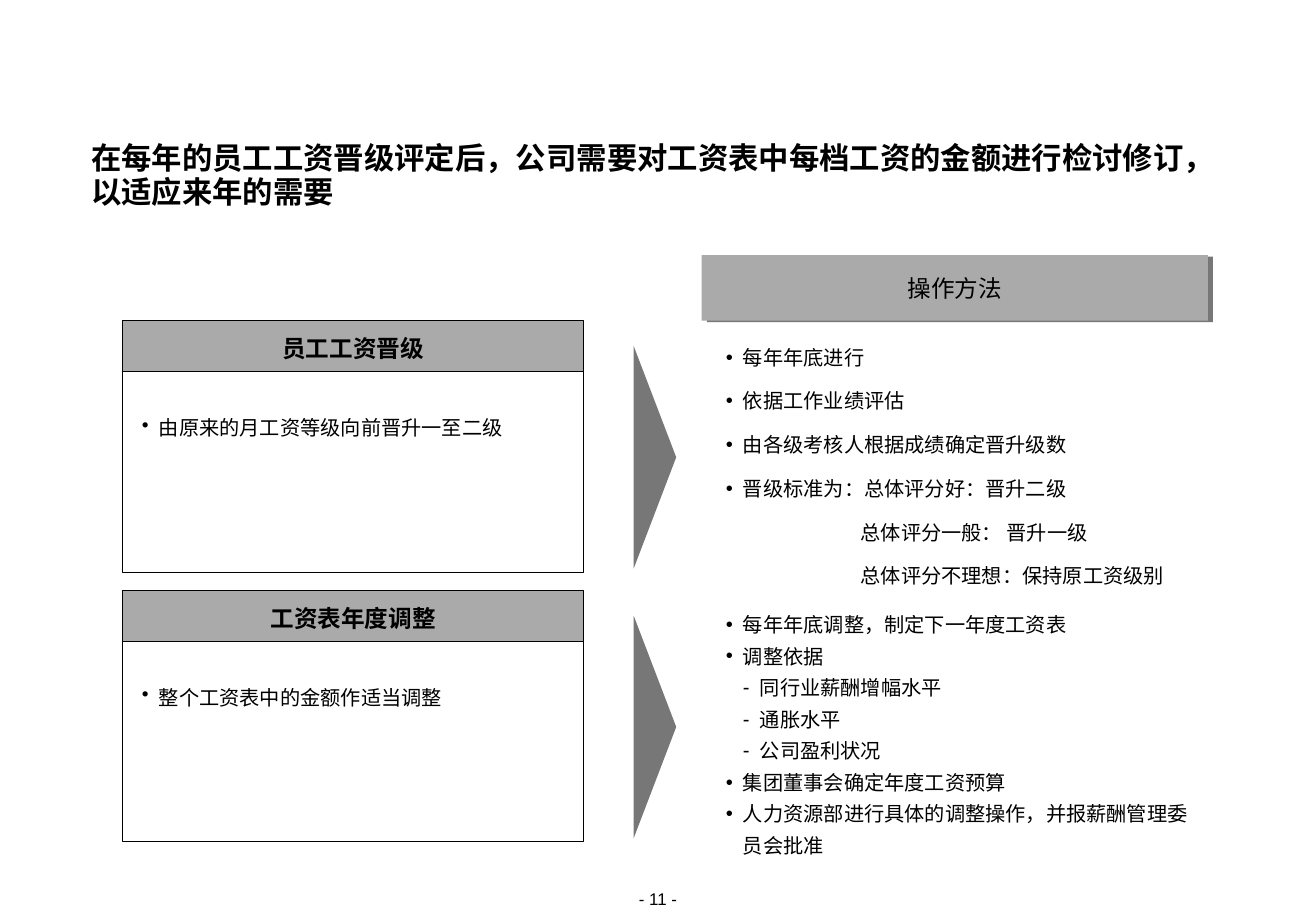
import pptx
import pptx.util
import pptx.dml.color
import pptx.enum.shapes
import pptx.enum.text
import lxml.etree
import pptx.oxml.ns

Inches = pptx.util.Inches
Pt = pptx.util.Pt
SHAPE = pptx.enum.shapes.MSO_SHAPE
ALIGN = pptx.enum.text.PP_ALIGN
ANCHOR = pptx.enum.text.MSO_ANCHOR
qn = pptx.oxml.ns.qn
LEVELS = {"•": (0.14, -0.14), "-": (0.28, -0.14), "": (1.11, 0)}


def rgb(value):
    return pptx.dml.color.RGBColor.from_string(value)


def write(frame, lines, size=12, bold=False, align=ALIGN.LEFT, anchor=ANCHOR.MIDDLE,
          spacing=1.0, insets=(0, 0, 0, 0)):
    frame.word_wrap = True
    frame.auto_size = pptx.enum.text.MSO_AUTO_SIZE.NONE
    frame.vertical_anchor = anchor
    frame.margin_left, frame.margin_top, frame.margin_right, frame.margin_bottom = map(Inches, insets)
    for number, (bullet, text) in enumerate(lines):
        paragraph = frame.add_paragraph() if number else frame.paragraphs[0]
        paragraph.text = text
        if bullet is not None:
            margin, indent = LEVELS[bullet]
            properties = paragraph._p.get_or_add_pPr()
            properties.set("marL", str(Inches(margin)))
            properties.set("indent", str(Inches(indent)))
            mark = lxml.etree.SubElement(properties, qn("a:buChar" if bullet else "a:buNone"))
            if bullet:
                mark.set("char", bullet)
        paragraph.alignment = align
        paragraph.line_spacing = spacing
        paragraph.space_before = paragraph.space_after = Pt(0)
        paragraph.font.name = "Arial"
        paragraph.font.size = Pt(size)
        paragraph.font.bold = bold
        paragraph.font.color.rgb = rgb("000000")


def add_block(preset, box, fill=None, line=None):
    block = slide.shapes.add_shape(preset, *map(Inches, box))
    block.shadow.inherit = False
    if fill:
        block.fill.solid()
        block.fill.fore_color.rgb = rgb(fill)
    else:
        block.fill.background()
    if line:
        block.line.color.rgb = rgb(line)
        block.line.width = Pt(0.5)
    else:
        block.line.fill.background()
    return block


deck = pptx.Presentation()
deck.slide_width, deck.slide_height = Inches(10.84), Inches(7.5)
slide = deck.slides.add_slide(deck.slide_layouts[3])

title, promotion_method, adjustment_method = slide.placeholders
title.left, title.top, title.width, title.height = map(Inches, (0.75, 1.17, 9.33, 0.56))
write(title.text_frame, [(None, "在每年的员工工资晋级评定后，公司需要对工资表中每档工资的金额进行检讨修订，以适应来年的需要")],
      size=18, bold=True, anchor=ANCHOR.TOP, spacing=Pt(20))

method_heading = add_block(SHAPE.RECTANGLE, (5.78, 2.1, 4.17, 0.54), fill="AAAAAA")
effects = method_heading._element.spPr.find(qn("a:effectLst"))
shadow = lxml.etree.SubElement(effects, qn("a:outerShdw"), dist=str(Pt(3.2)), dir="1080000",
                               algn="ctr", rotWithShape="0")
lxml.etree.SubElement(shadow, qn("a:srgbClr"), val="777777")
write(method_heading.text_frame, [(None, "操作方法")], size=14, align=ALIGN.CENTER)

promotion_steps = [
    ("•", "每年年底进行"),
    ("•", "依据工作业绩评估"),
    ("•", "由各级考核人根据成绩确定晋升级数"),
    ("•", "晋级标准为：总体评分好：晋升二级"),
    ("", "总体评分一般： 晋升一级"),
    ("", "总体评分不理想：保持原工资级别"),
]
adjustment_steps = [
    ("•", "每年年底调整，制定下一年度工资表"),
    ("•", "调整依据"),
    ("-", "同行业薪酬增幅水平"),
    ("-", "通胀水平"),
    ("-", "公司盈利状况"),
    ("•", "集团董事会确定年度工资预算"),
    ("•", "人力资源部进行具体的调整操作，并报薪酬管理委员会批准"),
]
topics = [
    ("员工工资晋级", "由原来的月工资等级向前晋升一至二级",
     promotion_method, promotion_steps, 2.68, 2.16, 1.8),
    ("工资表年度调整", "整个工资表中的金额作适当调整",
     adjustment_method, adjustment_steps, 4.98, 2.08, 1.3),
]
for row, (heading, summary, method, steps, method_top, method_height, spacing) in enumerate(topics):
    top = 2.64 + row * 2.22
    card = add_block(SHAPE.RECTANGLE, (1.01, top + 0.4, 3.8, 1.67), line="000000")
    write(card.text_frame, [("•", summary)], anchor=ANCHOR.TOP, insets=(0.16, 0.38, 0.13, 0))
    card_heading = add_block(SHAPE.RECTANGLE, (1.01, top, 3.8, 0.42), fill="AAAAAA", line="000000")
    write(card_heading.text_frame, [(None, heading)], size=14, bold=True, align=ALIGN.CENTER,
          insets=(0, 0.03, 0, 0))
    arrow = add_block(SHAPE.ISOSCELES_TRIANGLE, (4.48, top + 0.95, 1.83, 0.35), fill="777777")
    arrow.rotation = 90
    method.left, method.top = Inches(5.98), Inches(method_top)
    method.width, method.height = Inches(3.87), Inches(method_height)
    write(method.text_frame, steps, spacing=spacing)

page_number = slide.shapes.add_textbox(*map(Inches, (4.85, 7.32, 1.14, 0.17)))
write(page_number.text_frame, [(None, "- 11 -")], size=10, align=ALIGN.CENTER, anchor=ANCHOR.TOP)

deck.save("out.pptx")
